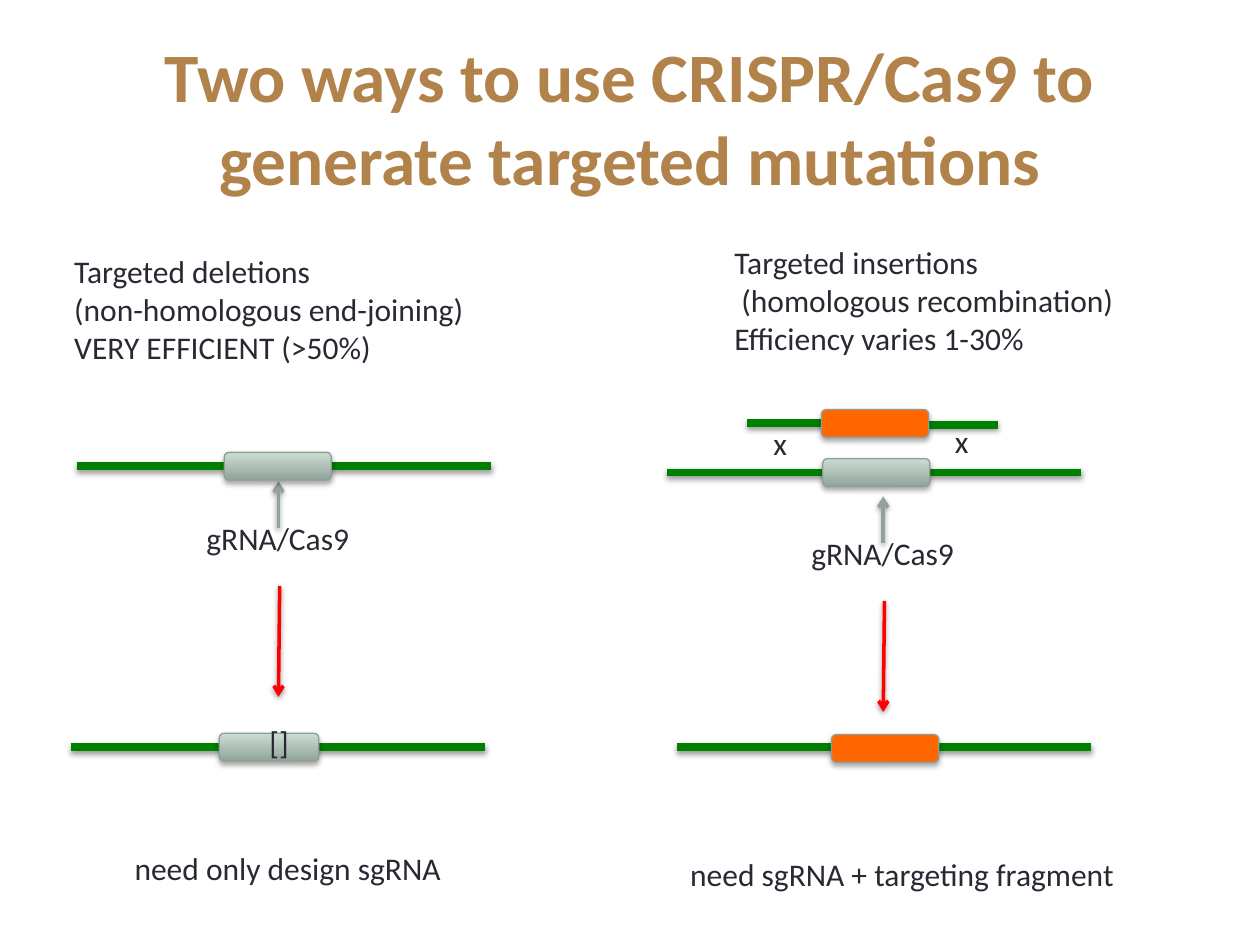
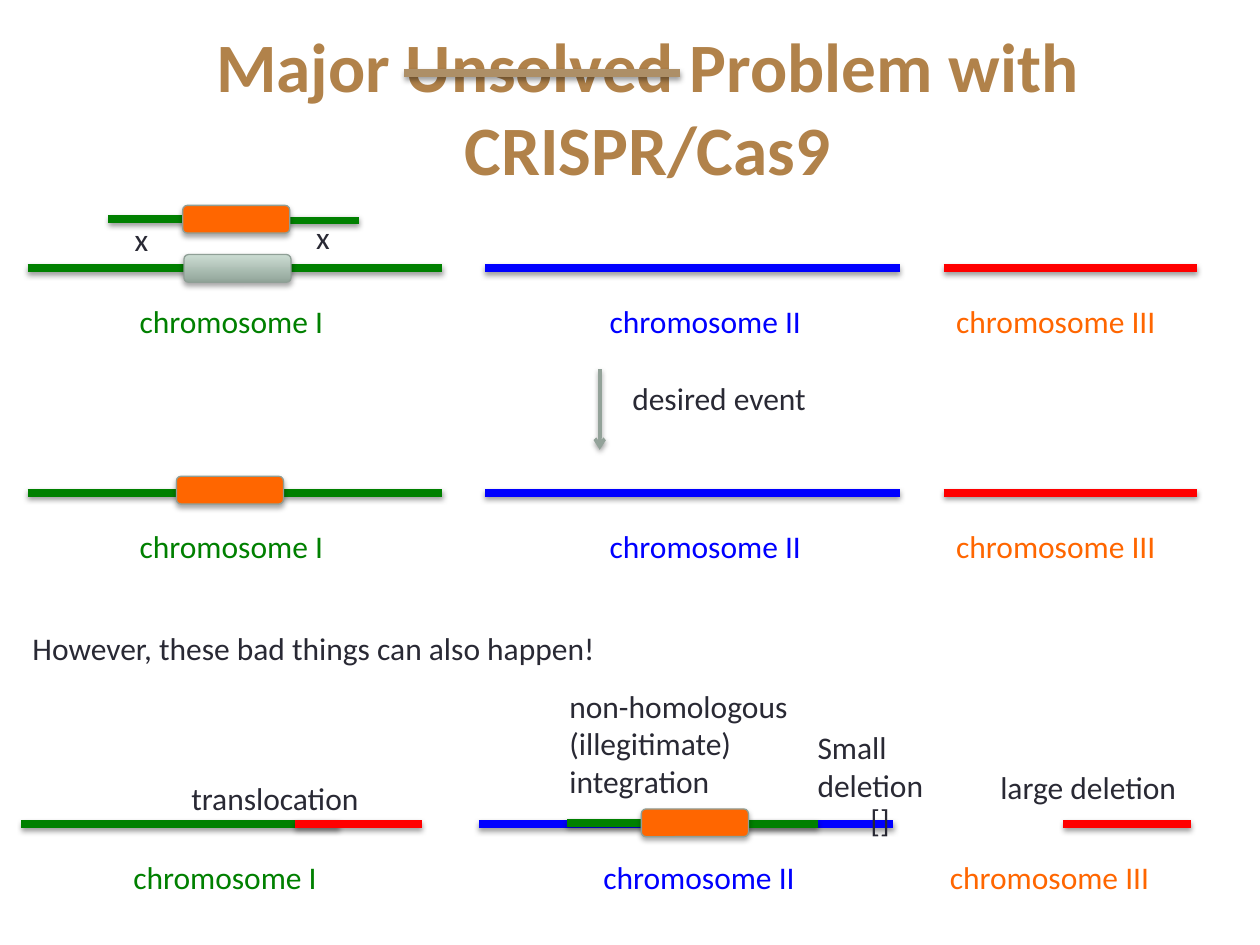
from lxml import etree
from pptx import Presentation
from pptx.dml.color import RGBColor
from pptx.enum.shapes import MSO_CONNECTOR, MSO_SHAPE
from pptx.enum.text import MSO_ANCHOR, MSO_AUTO_SIZE, PP_ALIGN
from pptx.oxml.ns import qn
from pptx.util import Inches, Pt

STRAIGHT = MSO_CONNECTOR.STRAIGHT
ROUNDED = MSO_SHAPE.ROUNDED_RECTANGLE
MIDDLE = MSO_ANCHOR.MIDDLE
FIT_SHAPE = MSO_AUTO_SIZE.SHAPE_TO_FIT_TEXT
CENTER = PP_ALIGN.CENTER

FONT = "Calibri"
INK, TITLE, STRIKE = "292934", "B1824A", "AD8F67"
GREEN, BLUE, RED, ORANGE = "008000", "0000FF", "FF0000", "FF6600"
SAGE, EDGE, SAGE_DARK, SAGE_LIGHT = "93A299", "8F9F96", "91A499", "CCDDD3"
GENE_WIDTH, GENE_HEIGHT, TEXT_HEIGHT = 0.85, 0.22, 0.4
STRAND_LENGTH = 3.29
CHROMOSOMES = [
    ("chromosome I", GREEN, GREEN, 0.79, 1.67),
    ("chromosome II", BLUE, BLUE, 4.52, 1.74),
    ("chromosome III", RED, ORANGE, 7.27, 1.8),
]
WHOLE_SPANS = [(0, 3.29), (3.63, 6.92), (7.27, 9.28)]
DAMAGED_SPANS = [(0, 2.52), (3.63, 6.92), (8.27, 9.28)]


def color(hex_text):
    """Turn a hex string into a colour."""
    return RGBColor.from_string(hex_text)


def set_values(target, values):
    """Set each named attribute of the target."""
    for name, value in values.items():
        setattr(target, name, value)


def add_shadow(item, opacity, distance):
    """Give an object a soft shadow that falls straight down."""
    properties = item._element.spPr
    effects = etree.SubElement(properties, qn("a:effectLst"))
    shadow = etree.SubElement(
        effects, qn("a:outerShdw"), blurRad=str(Pt(3.1)), dist=str(Pt(distance)),
        dir="5400000", rotWithShape="0")
    shade = etree.SubElement(shadow, qn("a:srgbClr"), val="000000")
    etree.SubElement(shade, qn("a:alpha"), val=str(opacity * 1000))


def add_line(page, start, end, hex_text, width=4.5):
    """Draw a shadowed straight line between two points."""
    line = page.shapes.add_connector(
        STRAIGHT, *(Inches(value) for value in (*start, *end)))
    line.line.color.rgb = color(hex_text)
    line.line.width = Pt(width)
    add_shadow(line, 38, 1.6)
    return line


def add_strand(page, left, top, length, hex_text=GREEN):
    """Draw a level piece of DNA."""
    add_line(page, (left, top), (left + length, top), hex_text)


def add_arrow(page, start, end, hex_text):
    """Draw a thin line with an open arrowhead at its end."""
    arrow = add_line(page, start, end, hex_text, 2)
    etree.SubElement(arrow.line._get_or_add_ln(), qn("a:tailEnd"), type="arrow")


def add_gene(page, left, top, fill=None, width=GENE_WIDTH):
    """Draw a gene, shaded in sage unless a fill is given."""
    gene = page.shapes.add_shape(
        ROUNDED, Inches(left), Inches(top), Inches(width), Inches(GENE_HEIGHT))
    if fill:
        gene.fill.solid()
        gene.fill.fore_color.rgb = color(fill)
    else:
        gene.fill.gradient()
        gene.fill.gradient_angle = 90
        for stop, shade in zip(gene.fill.gradient_stops, (SAGE_DARK, SAGE_LIGHT)):
            stop.color.rgb = color(shade)
    gene.line.color.rgb = color(EDGE)
    gene.line.width = Pt(0.75)
    add_shadow(gene, 35, 1.8)


def add_text(page, text, left, top, width, hex_text=INK, height=TEXT_HEIGHT, wrap=False):
    """Write a label, one paragraph for each line."""
    box = page.shapes.add_textbox(
        Inches(left), Inches(top), Inches(width), Inches(height))
    frame = box.text_frame
    frame.text = text
    set_values(frame, {"word_wrap": wrap, "auto_size": FIT_SHAPE})
    for para in frame.paragraphs:
        set_values(para.font, {"name": FONT, "size": Pt(18)})
        para.font.color.rgb = color(hex_text)


def add_page(deck, title, left, top):
    """Add a slide with a bold centred title."""
    page = deck.slides.add_slide(deck.slide_layouts[5])
    holder = page.shapes.title
    set_values(holder, {"left": Inches(left), "top": Inches(top),
                        "width": Inches(9), "height": Inches(1.25)})
    frame = holder.text_frame
    frame.text = title
    set_values(frame, {"vertical_anchor": MIDDLE, "word_wrap": True,
                       "auto_size": MSO_AUTO_SIZE.NONE})
    para = frame.paragraphs[0]
    para.alignment = CENTER
    span = para.runs[0]
    set_values(span.font, {"name": FONT, "size": Pt(39.6), "bold": True})
    span.font.color.rgb = color(TITLE)
    return page


def add_fragment(page, left, top):
    """Draw a targeting fragment: an insert between two arms."""
    add_strand(page, left, top + 0.11, 1.08)
    add_strand(page, left + 0.9, top + 0.12, 1.09)
    add_gene(page, left + 0.59, top, ORANGE)


def add_recombination(page, left, top):
    """Draw a fragment crossing over with the gene below it."""
    add_gene(page, left + 0.6, top + 0.39)
    add_fragment(page, left, top)
    add_text(page, "x", left + 0.11, top + 0.07, 0.31)
    add_text(page, "x", left + 1.55, top + 0.05, 0.31)


def add_cutting(page, left, top):
    """Draw the gRNA label, its arrow to the gene and the arrow to the result."""
    add_text(page, "gRNA/Cas9", left, top, 1.35)
    add_arrow(page, (left + 0.67, top + 0.12), (left + 0.67, top - 0.25), SAGE)
    add_arrow(page, (left + 0.68, top + 0.58), (left + 0.67, top + 1.46), RED)


def add_deletion_column(page, left, top):
    """Show a targeted deletion, from heading to requirement."""
    heading = "Targeted deletions\n(non-homologous end-joining)\nVERY EFFICIENT (>50%)"
    add_text(page, heading, left, top, 3.32, height=1.01)
    add_strand(page, left + 0.12, top + 1.75, STRAND_LENGTH)
    add_cutting(page, left + 1.05, top + 2.12)
    add_gene(page, left + 1.29, top + 1.64)
    add_strand(page, left + 0.07, top + 3.98, STRAND_LENGTH)
    add_gene(page, left + 1.25, top + 3.87, width=0.79)
    add_text(page, "[]", left + 1.55, top + 3.74, 0.51, wrap=True)
    add_text(page, "need only design sgRNA", left + 0.48, top + 4.74, 2.66)


def add_insertion_column(page, left, top):
    """Show a targeted insertion, from heading to requirement."""
    heading = "Targeted insertions\n (homologous recombination)\nEfficiency varies 1-30%"
    add_text(page, heading, left + 0.44, top, 3.24, height=1.01)
    add_strand(page, left, top + 1.87, STRAND_LENGTH)
    add_recombination(page, left + 0.64, top + 1.37)
    add_cutting(page, left + 1.05, top + 2.31)
    add_strand(page, left + 0.08, top + 4.05, STRAND_LENGTH)
    add_gene(page, left + 1.31, top + 3.95, ORANGE)
    add_text(page, "need sgRNA + targeting fragment", left + 0.09, top + 4.86, 3.6)


def add_chromosomes(page, left, top, spans):
    """Draw the three chromosomes with their names below."""
    for (name, strand, ink, offset, width), (start, end) in zip(CHROMOSOMES, spans):
        add_strand(page, left + start, top, end - start, strand)
        add_text(page, name, left + offset, top + 0.22, width, ink)


def add_desired_event(page, left, top):
    """Show the chromosomes before and after the wanted insertion."""
    add_chromosomes(page, left, top, WHOLE_SPANS)
    add_recombination(page, left + 0.64, top - 0.5)
    add_arrow(page, (left + 4.54, top + 0.8), (left + 4.54, top + 1.44), SAGE)
    add_text(page, "desired event", left + 4.7, top + 0.83, 1.59)
    add_chromosomes(page, left, top + 1.78, WHOLE_SPANS)
    add_gene(page, left + 1.18, top + 1.65, ORANGE)


def add_bad_events(page, left, top):
    """Show the unwanted changes on the three chromosomes."""
    add_text(page, "However, these bad things can also happen!", left, top, 4.74)
    add_chromosomes(page, left + 0.01, top + 1.6, DAMAGED_SPANS)
    add_fragment(page, left + 4.34, top + 1.48)
    add_strand(page, left + 2.18, top + 1.6, 1.01, RED)
    add_text(page, "[]", left + 6.65, top + 1.37, 0.41, wrap=True)
    add_text(page, "non-homologous\n(illegitimate)\nintegration",
             left + 4.26, top + 0.46, 2.01, height=1.01)
    add_text(page, "translocation", left + 1.26, top + 1.19, 1.54)
    add_text(page, "large deletion", left + 7.68, top + 1.11, 1.61)
    add_text(page, "Small\ndeletion", left + 6.23, top + 0.79, 1.05, height=0.71)


def main():
    """Build both slides and save the deck."""
    deck = Presentation()
    set_values(deck, {"slide_width": Inches(10), "slide_height": Inches(7.5)})

    page = add_page(
        deck, "Two ways to use CRISPR/Cas9 to generate targeted mutations", 0.5, 0.3)
    add_deletion_column(page, 0.49, 1.95)
    add_insertion_column(page, 5.29, 1.88)

    page = add_page(deck, "Major Unsolved Problem with CRISPR/Cas9", 0.64, 0.22)
    add_desired_event(page, 0.22, 2.13)
    add_bad_events(page, 0.16, 4.94)
    add_strand(page, 3.21, 0.58, 2.19, STRIKE)

    deck.save("out.pptx")


if __name__ == "__main__":
    main()
